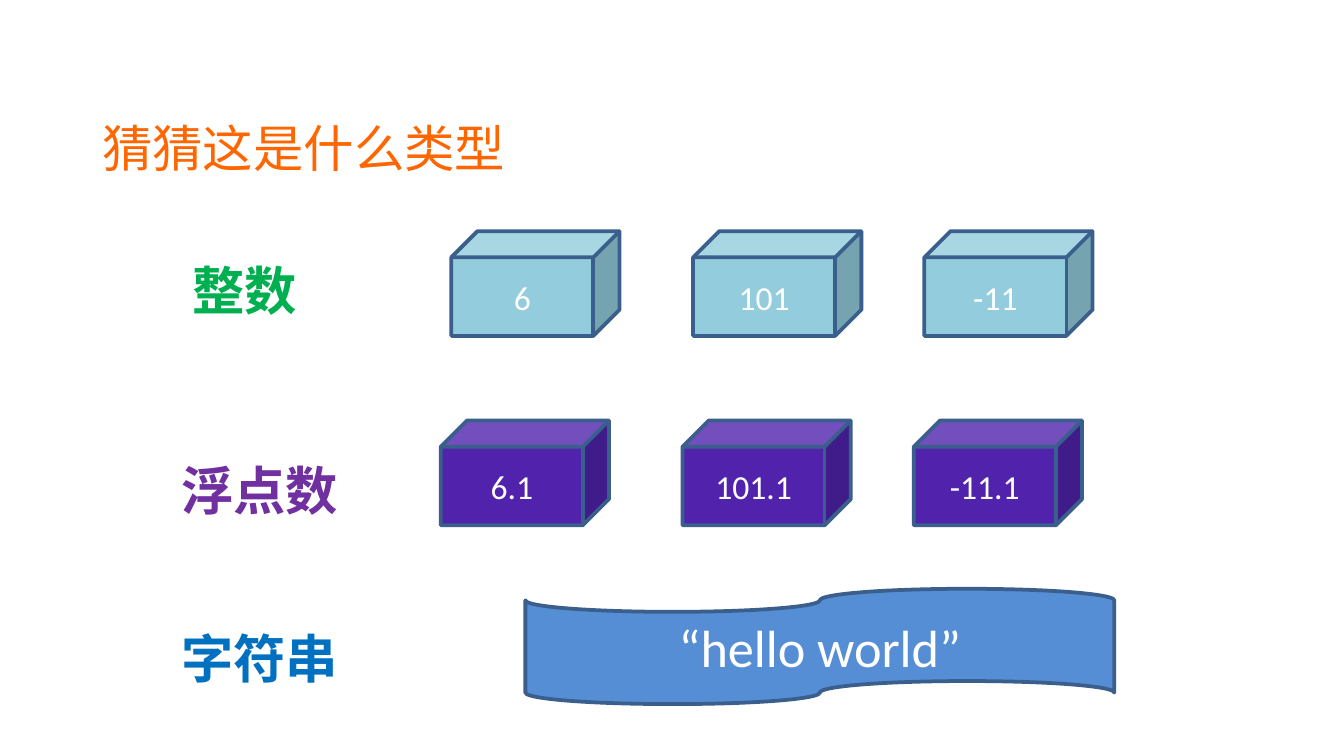
from lxml.etree import SubElement
from pptx import Presentation
from pptx.dml.color import RGBColor
from pptx.enum.shapes import MSO_SHAPE
from pptx.enum.text import MSO_ANCHOR, MSO_AUTO_SIZE, PP_ALIGN
from pptx.oxml.ns import qn
from pptx.util import Cm, Pt

CJK_FONT = "Noto Sans CJK SC"
CUBE_SIZE = (3.18, 1.98)
CUBE_OFFSETS = (0, 4.57, 8.94)
LABEL_HEIGHT = 1.45


def color(value):
    """Turn a hex string into a colour."""
    return RGBColor.from_string(value)


def lengths(box):
    """Turn a box in centimetres into slide lengths."""
    return [Cm(value) for value in box]


def write(shape, text, ink, align=PP_ALIGN.LEFT, anchor=MSO_ANCHOR.MIDDLE, **font):
    """Write one formatted paragraph into a shape."""
    frame = shape.text_frame
    frame.word_wrap = True
    frame.auto_size = MSO_AUTO_SIZE.NONE
    frame.vertical_anchor = anchor
    para = frame.paragraphs[0]
    para.alignment = align
    span = para.add_run()
    span.text = text
    for name, value in font.items():
        setattr(span.font, name, value)
    span.font.color.rgb = color(ink)
    SubElement(span.font._element, qn("a:ea"), typeface=CJK_FONT)


def add_title(page, box, text):
    """Place the slide title in its placeholder."""
    title = page.shapes.title
    title.left, title.top, title.width, title.height = lengths(box)
    frame = title.text_frame
    frame.margin_left = frame.margin_right = Cm(0.18)
    frame.margin_top = frame.margin_bottom = Cm(0.1)
    write(title, text, "FF6600", size=Pt(27), name="Arial")


def add_label(page, box, text, ink):
    """Place the name of a data type."""
    label = page.shapes.add_textbox(*lengths(box))
    write(label, text, ink, anchor=MSO_ANCHOR.TOP, size=Pt(28), name=CJK_FONT, bold=True)


def add_value(shapes, kind, box, text, fill, size):
    """Place a filled shape that holds a sample value."""
    shape = shapes.add_shape(kind, *lengths(box))
    shape.shadow.inherit = False
    shape.fill.solid()
    shape.fill.fore_color.rgb = color(fill)
    shape.line.color.rgb = color("3A5F8C")
    shape.line.width = Pt(2)
    write(shape, text, "FFFFFF", PP_ALIGN.CENTER, size=Pt(size), name="Calibri")


def add_cube_row(page, left, top, values, fill):
    """Place a group of number cubes in one row."""
    group = page.shapes.add_group_shape()
    for offset, value in zip(CUBE_OFFSETS, values):
        box = (left + offset, top, *CUBE_SIZE)
        add_value(group.shapes, MSO_SHAPE.CUBE, box, value, fill, 18)


def main():
    """Build the slide on data types."""
    deck = Presentation()
    deck.slide_width, deck.slide_height = Cm(25.4), Cm(14.29)
    page = deck.slides.add_slide(deck.slide_layouts[5])
    add_title(page, (1.75, 1.8, 8.18, 1.96), "猜猜这是什么类型")
    add_cube_row(page, 8.53, 4.37, ("6", "101", "-11"), "93CDDD")
    add_cube_row(page, 8.33, 7.95, ("6.1", "101.1", "-11.1"), "5123AD")
    add_value(page.shapes, MSO_SHAPE.FLOWCHART_PUNCHED_TAPE,
              (9.93, 11.13, 11.13, 2.18), "“hello world”", "558ED5", 28)
    for left, top, width, text, ink in (
        (3.38, 4.75, 3.38, "整数", "00B050"),
        (3.18, 8.53, 4.17, "浮点数", "7030A0"),
        (3.18, 11.71, 4.78, "字符串", "0070C0"),
    ):
        add_label(page, (left, top, width, LABEL_HEIGHT), text, ink)
    deck.save("out.pptx")


if __name__ == "__main__":
    main()
